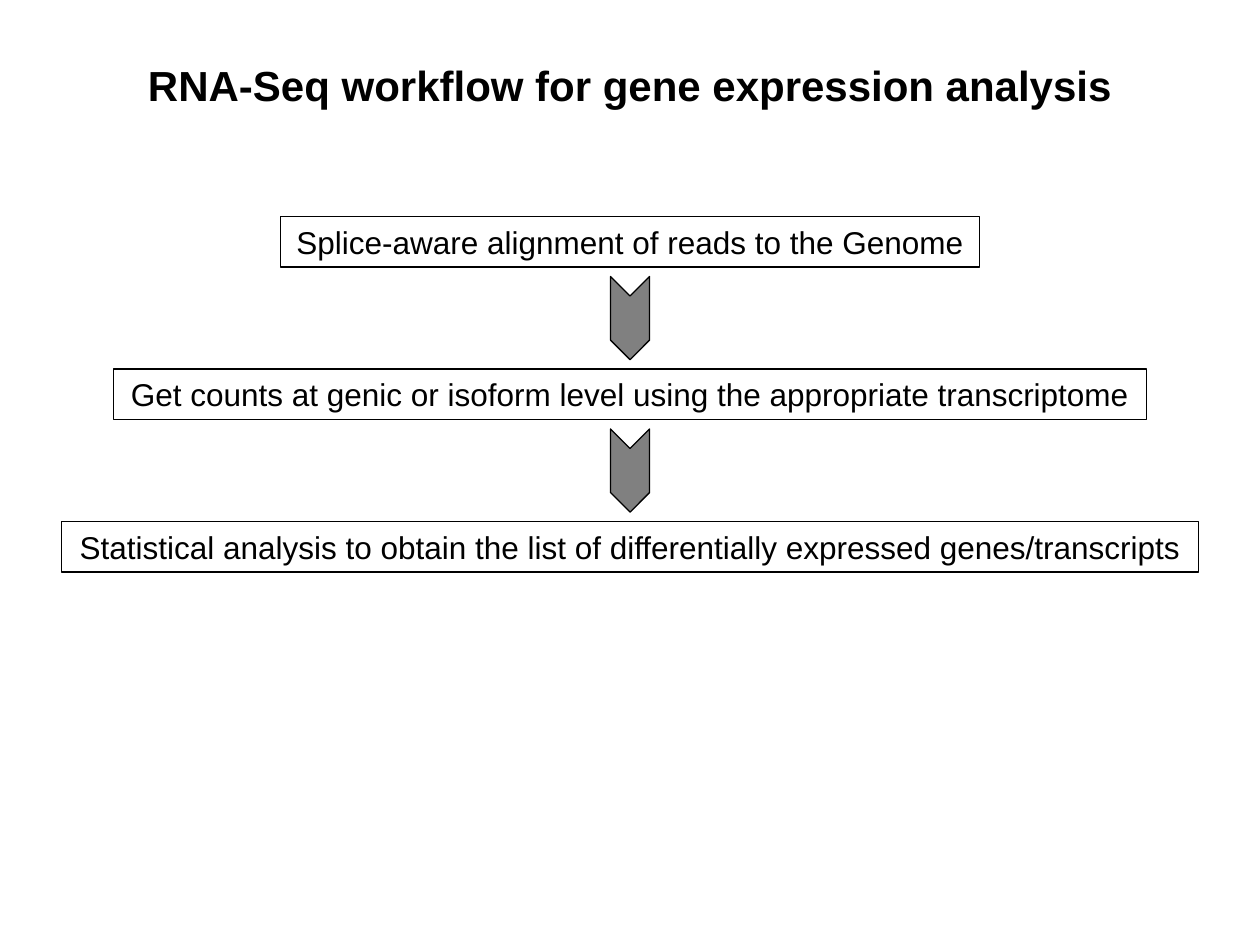
import pptx
import pptx.util
import pptx.dml.color
import pptx.enum.shapes
import pptx.enum.text

Inches = pptx.util.Inches
Pt = pptx.util.Pt

TITLE = "RNA-Seq workflow for gene expression analysis"
STEPS = [
    ("Splice-aware alignment of reads to the Genome", 5.55),
    ("Get counts at genic or isoform level using the appropriate transcriptome", 8.2),
    ("Statistical analysis to obtain the list of differentially expressed genes/transcripts", 9.02),
]
COLORS = {"ink": "000000", "arrow": "808080"}
SLIDE_W, SLIDE_H = 10, 7.5
FIRST_TOP, STEP_H, GAP = 1.72, 0.4, 0.81
ARROW_LENGTH, ARROW_WIDTH = 0.66, 0.31


def rgb(name):
    return pptx.dml.color.RGBColor.from_string(COLORS[name])


def outline(part):
    part.line.color.rgb = rgb("ink")
    part.line.width = Pt(0.75)


def add_text(slide, text, *, top, width, height, size, bold=False):
    box = slide.shapes.add_textbox(
        Inches((SLIDE_W - width) / 2), Inches(top), Inches(width), Inches(height))
    frame = box.text_frame
    frame.word_wrap = False
    frame.auto_size = pptx.enum.text.MSO_AUTO_SIZE.SHAPE_TO_FIT_TEXT
    paragraph = frame.paragraphs[0]
    paragraph.alignment = pptx.enum.text.PP_ALIGN.CENTER
    run = paragraph.add_run()
    run.text = text
    run.font.name = "Arial"
    run.font.size = Pt(size)
    run.font.bold = bold
    run.font.color.rgb = rgb("ink")
    return box


def add_down_arrow(slide, middle):
    arrow = slide.shapes.add_shape(
        pptx.enum.shapes.MSO_SHAPE.CHEVRON,
        Inches((SLIDE_W - ARROW_LENGTH) / 2), Inches(middle - ARROW_WIDTH / 2),
        Inches(ARROW_LENGTH), Inches(ARROW_WIDTH))
    arrow.rotation = 90
    arrow.shadow.inherit = False
    arrow.fill.solid()
    arrow.fill.fore_color.rgb = rgb("arrow")
    outline(arrow)


def main():
    deck = pptx.Presentation()
    deck.slide_width, deck.slide_height = Inches(SLIDE_W), Inches(SLIDE_H)
    slide = deck.slides.add_slide(deck.slide_layouts[6])

    add_text(slide, TITLE, top=0.42, width=7.93, height=0.5, size=24, bold=True)
    for index, (step, width) in enumerate(STEPS):
        top = FIRST_TOP + index * (STEP_H + GAP)
        outline(add_text(slide, step, top=top, width=width, height=STEP_H, size=18))
        if index:
            add_down_arrow(slide, top - GAP / 2)

    deck.save("out.pptx")


if __name__ == "__main__":
    main()
